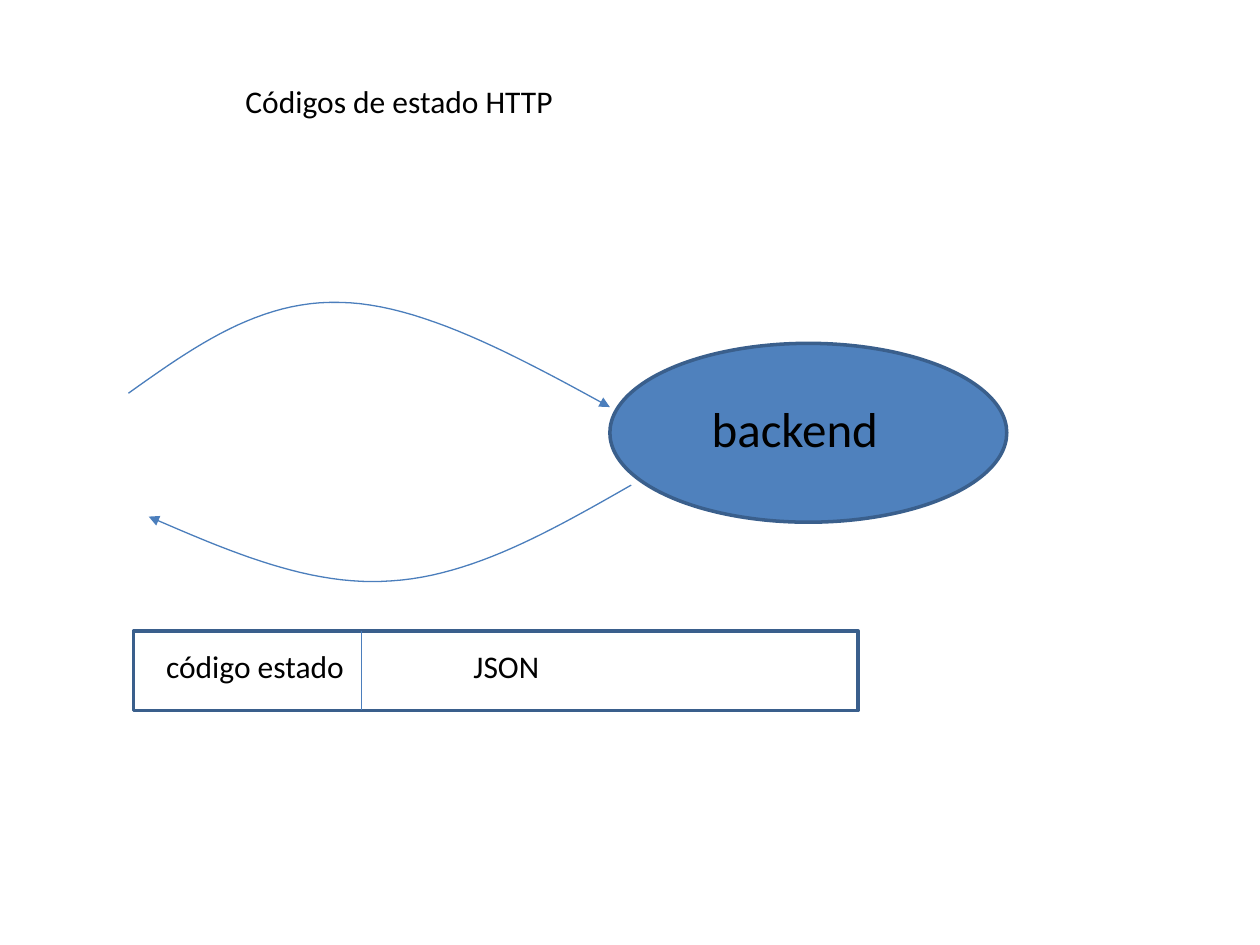
from lxml import etree
from pptx import Presentation
from pptx.dml.color import RGBColor
from pptx.enum import shapes, text
from pptx.oxml import ns
from pptx.util import Pt

BLACK = RGBColor(0x00, 0x00, 0x00)
BLUE = RGBColor(0x4F, 0x81, 0xBD)
OUTLINE = RGBColor(0x3A, 0x5F, 0x8C)
ARROW = RGBColor(0x4B, 0x7E, 0xBC)
FONT = "Calibri"
STEPS = 24


def add_label(page, box, words, size=18):
    """Place a text box with one line of text."""
    label = page.shapes.add_textbox(*map(Pt, box))
    frame = label.text_frame
    frame.word_wrap = True
    frame.auto_size = text.MSO_AUTO_SIZE.SHAPE_TO_FIT_TEXT
    span = frame.paragraphs[0].add_run()
    span.text = words
    span.font.name = FONT
    span.font.size = Pt(size)
    span.font.color.rgb = BLACK


def add_outlined(page, kind, box, fill=None):
    """Place a preset shape with a dark outline and an optional fill."""
    shape = page.shapes.add_shape(kind, *map(Pt, box))
    shape.shadow.inherit = False
    if fill is None:
        shape.fill.background()
    else:
        shape.fill.solid()
        shape.fill.fore_color.rgb = fill
    shape.line.color.rgb = OUTLINE
    shape.line.width = Pt(2)


def bezier_point(controls, share):
    """Return the point at a share of the way along a cubic curve."""
    rest = 1 - share
    weights = (rest ** 3, 3 * rest ** 2 * share, 3 * rest * share ** 2, share ** 3)
    return tuple(sum(w * point[axis] for w, point in zip(weights, controls))
                 for axis in (0, 1))


def add_curved_arrow(page, left, top, controls):
    """Draw joined cubic curves that end in a triangle arrowhead."""
    points = [(Pt(left + x), Pt(top + y)) for x, y in controls]
    builder = page.shapes.build_freeform(*points[0])
    builder.add_line_segments(
        [bezier_point(points[first:first + 4], step / STEPS)
         for first in range(0, len(points) - 1, 3)
         for step in range(1, STEPS + 1)],
        close=False)
    curve = builder.convert_to_shape()
    curve.shadow.inherit = False
    curve.fill.background()
    curve.line.color.rgb = ARROW
    curve.line.width = Pt(0.75)
    outline = curve.line._get_or_add_ln()
    etree.SubElement(outline, ns.qn("a:tailEnd"), type="triangle")


def add_divider(page, x, top, height):
    """Draw a thin vertical line."""
    line = page.shapes.add_connector(
        shapes.MSO_CONNECTOR.STRAIGHT, Pt(x), Pt(top), Pt(x), Pt(top + height))
    line.line.color.rgb = ARROW
    line.line.width = Pt(0.75)
    etree.SubElement(line._element.spPr, ns.qn("a:effectLst"))


def add_backend(page, box):
    """Place the backend ellipse and its name."""
    left, top, width, height = box
    add_outlined(page, shapes.MSO_SHAPE.OVAL, box, BLUE)
    add_label(page, (left + 51.1, top + 28, 164.2, 41), "backend", 28)


def add_exchange(page, box):
    """Draw the request and response arrows beside the backend."""
    left, top, width, height = box
    request = [(0, 53.3), (37.5, 26.6), (74.9, 0), (121, 1.4),
               (166.4, 2.1), (221.1, 31.6), (275.1, 61.2)]
    response = [(287.3, 105.8), (242, 131.7), (196.6, 157.6), (150.5, 160.5),
                (104.4, 164.1), (58.4, 144), (11.6, 123.8)]
    for controls in (request, response):
        add_curved_arrow(page, left, top, controls)


def add_message(page, box):
    """Draw the response message with its status and body fields."""
    left, top, width, height = box
    status = 130.3
    add_outlined(page, shapes.MSO_SHAPE.RECTANGLE, box)
    add_divider(page, left + status, top, height)
    add_label(page, (left + status + 56.9, top + 5.8, 203.8, 29), "JSON")
    add_label(page, (left + 11.5, top + 5.8, 118.8, 29), "código estado")


def main():
    """Build the slide and save the deck."""
    deck = Presentation()
    deck.slide_width, deck.slide_height = Pt(720), Pt(540)
    page = deck.slides.add_slide(deck.slide_layouts[6])
    add_label(page, (133.2, 43.2, 362.9, 29), "Códigos de estado HTTP")
    add_backend(page, (348.5, 196.2, 226.8, 102.2))
    add_exchange(page, (73.4, 171.4, 287.3, 164.1))
    add_message(page, (76.3, 360.5, 414, 45.5))
    deck.save("out.pptx")


if __name__ == "__main__":
    main()
